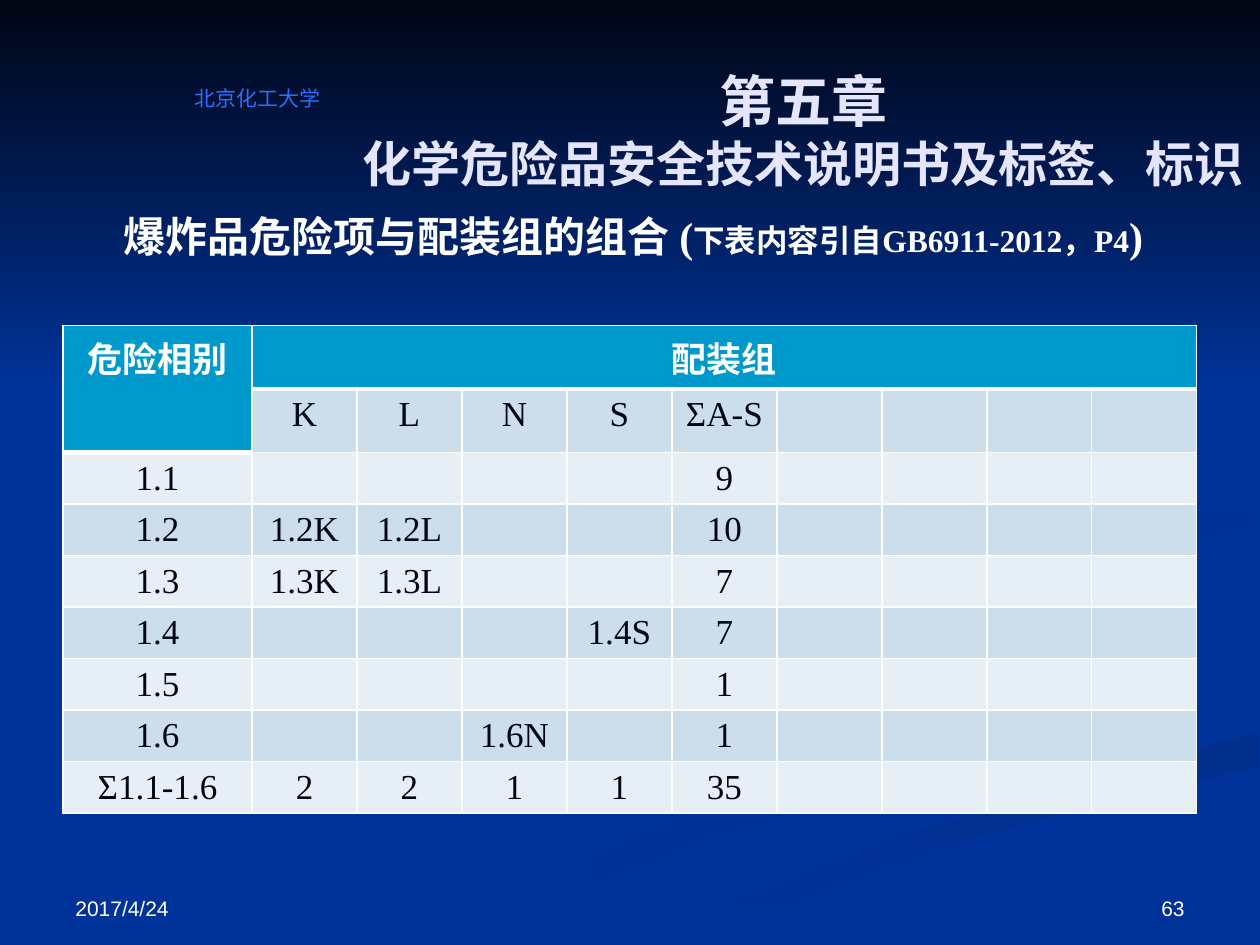
from lxml.etree import SubElement
from pptx import Presentation
from pptx.dml.color import RGBColor
from pptx.enum.shapes import MSO_SHAPE
from pptx.enum.text import MSO_ANCHOR, MSO_AUTO_SIZE, PP_ALIGN
from pptx.oxml.ns import qn
from pptx.util import Pt

COLORS = {
    "background": "003399", "night": "000514", "white": "FFFFFF",
    "title": "E5E5FF", "school": "2970FF", "header": "0099CC",
    "band_dark": "CCDEEC", "band_light": "E7EFF6", "table_text": "000514",
    "shade_light": "003193", "shade_mid": "003091", "shade_deep": "002F8C",
}


def rgb(name):
    return RGBColor.from_string(COLORS[name])


def add_run(paragraph, text, color, **formats):
    run = paragraph.add_run()
    run.text = text
    run.font.color.rgb = rgb(color)
    for name, value in {"name": "Times New Roman", **formats}.items():
        setattr(run.font, name, value)


presentation = Presentation()
presentation.slide_width, presentation.slide_height = Pt(720), Pt(540)
slide = presentation.slides.add_slide(presentation.slide_layouts[5])
shapes = slide.shapes
slide.background.fill.solid()
slide.background.fill.fore_color.rgb = rgb("background")

swooshes = [
    ("background", "shade_light", 0, [
        (562, 398), (451, 361), (414, 330), (427, 354), (554, 397), (562, 417),
        (388, 467), (216, 539), (260, 539), (406, 479), (562, 436), (575, 413)]),
    ("background", "shade_light", 45, [
        (679, 410), (639, 385), (536, 353), (521, 334), (544, 364), (642, 399),
        (644, 436)]),
    ("shade_deep", "background", 90, [
        (362, 539), (411, 539), (482, 505), (565, 476), (719, 438), (719, 418),
        (598, 453), (501, 482), (410, 518)]),
    ("shade_mid", "background", 45, [
        (562, 331), (595, 357), (582, 336), (632, 316), (719, 302), (719, 289),
        (601, 310)]),
    ("shade_deep", "background", 45, [
        (492, 310), (616, 282), (644, 248), (607, 198), (549, 168), (631, 220),
        (631, 259), (487, 298), (415, 333), (448, 360), (433, 328)]),
]
backdrop = []
for start, end, angle, points in swooshes:
    builder = shapes.build_freeform(*points[0], scale=Pt(1))
    builder.add_line_segments(points[1:], close=True)
    backdrop.append((builder.convert_to_shape(), start, end, angle))
sky = shapes.add_shape(MSO_SHAPE.RECTANGLE, 0, 0, Pt(720), Pt(221.76))
backdrop.append((sky, "night", "background", 90))

for shape, start, end, angle in backdrop:
    shape.shadow.inherit = False
    shape.line.fill.background()
    shape.fill.gradient()
    shape.fill.gradient_angle = -angle % 360
    for stop, color in zip(shape.fill.gradient_stops, (start, end)):
        stop.color.rgb = rgb(color)

text_boxes = [
    ((36, 492.5, 168, 37.4), MSO_ANCHOR.BOTTOM, PP_ALIGN.LEFT, 1,
     [("2017/4/24", "white", {"name": "Arial", "size": Pt(12)})]),
    ((516, 492.5, 168, 37.4), MSO_ANCHOR.BOTTOM, PP_ALIGN.RIGHT, 1,
     [("63", "white", {"name": "Arial", "size": Pt(12)})]),
    ((20, 111, 684, 42.5), MSO_ANCHOR.TOP, PP_ALIGN.CENTER, 1.2,
     [("爆炸品危险项与配装组的组合 (", "white", {"size": Pt(24), "bold": True}),
      ("下表内容引自GB6911-2012，P4", "white", {"size": Pt(18), "bold": True}),
      (")", "white", {"size": Pt(24), "bold": True})]),
    ((96, 42, 102, 25), MSO_ANCHOR.BOTTOM, PP_ALIGN.CENTER, 1,
     [("北京化工大学", "school", {"size": Pt(12)})]),
]
for box, anchor, alignment, spacing, runs in text_boxes:
    frame = shapes.add_textbox(*map(Pt, box)).text_frame
    frame.word_wrap = True
    frame.vertical_anchor = anchor
    paragraph = frame.paragraphs[0]
    paragraph.alignment = alignment
    paragraph.line_spacing = spacing
    for text, color, formats in runs:
        add_run(paragraph, text, color, **formats)

title = shapes.title
shapes._spTree.append(title._element)
title.left, title.top, title.width, title.height = map(Pt, (198, 21.6, 522, 104.4))
title.text_frame.auto_size = MSO_AUTO_SIZE.NONE
title.text_frame.vertical_anchor = MSO_ANCHOR.MIDDLE
paragraph = title.text_frame.paragraphs[0]
paragraph.alignment = PP_ALIGN.CENTER
add_run(paragraph, "第五章", "title", size=Pt(32), bold=True)
paragraph.add_line_break()
add_run(paragraph, "化学危险品安全技术说明书及标签、标识", "title", size=Pt(28), bold=True)

rows = [
    ["危险相别", "配装组"],
    ["", "K", "L", "N", "S", "ΣA-S"],
    ["1.1", "", "", "", "", "9"],
    ["1.2", "1.2K", "1.2L", "", "", "10"],
    ["1.3", "1.3K", "1.3L", "", "", "7"],
    ["1.4", "", "", "", "1.4S", "7"],
    ["1.5", "", "", "", "", "1"],
    ["1.6", "", "", "1.6N", "", "1"],
    ["Σ1.1-1.6", "2", "2", "1", "1", "35"],
]
column_count = 10
table = shapes.add_table(len(rows), column_count, Pt(36), Pt(186), Pt(648), Pt(277)).table
for index, column in enumerate(table.columns):
    column.width = Pt(108 if index == 0 else 60)
for index, row in enumerate(table.rows):
    row.height = Pt(36.3 if index < 2 else 29.2)
table.cell(0, 0).merge(table.cell(1, 0))
table.cell(0, 1).merge(table.cell(0, column_count - 1))

for row_index, values in enumerate(rows):
    for column_index in range(column_count):
        cell = table.cell(row_index, column_index)
        header_end = 1 if column_index == 0 else 0
        is_header = row_index <= header_end
        widths = {"lnL": 1, "lnR": 1,
                  "lnT": 3 if row_index == header_end + 1 else 1,
                  "lnB": 3 if row_index == header_end else 1}
        properties = cell._tc.get_or_add_tcPr()
        for side, width in widths.items():
            border = SubElement(properties, qn(f"a:{side}"), w=str(Pt(width)))
            fill = SubElement(border, qn("a:solidFill"))
            SubElement(fill, qn("a:srgbClr"), val=COLORS["white"])
        band = "band_dark" if row_index % 2 else "band_light"
        cell.fill.solid()
        cell.fill.fore_color.rgb = rgb("header" if is_header else band)
        if column_index < len(values) and values[column_index]:
            paragraph = cell.text_frame.paragraphs[0]
            paragraph.alignment = PP_ALIGN.CENTER
            add_run(paragraph, values[column_index],
                    "white" if is_header else "table_text", size=Pt(20), bold=is_header)

presentation.save("out.pptx")
